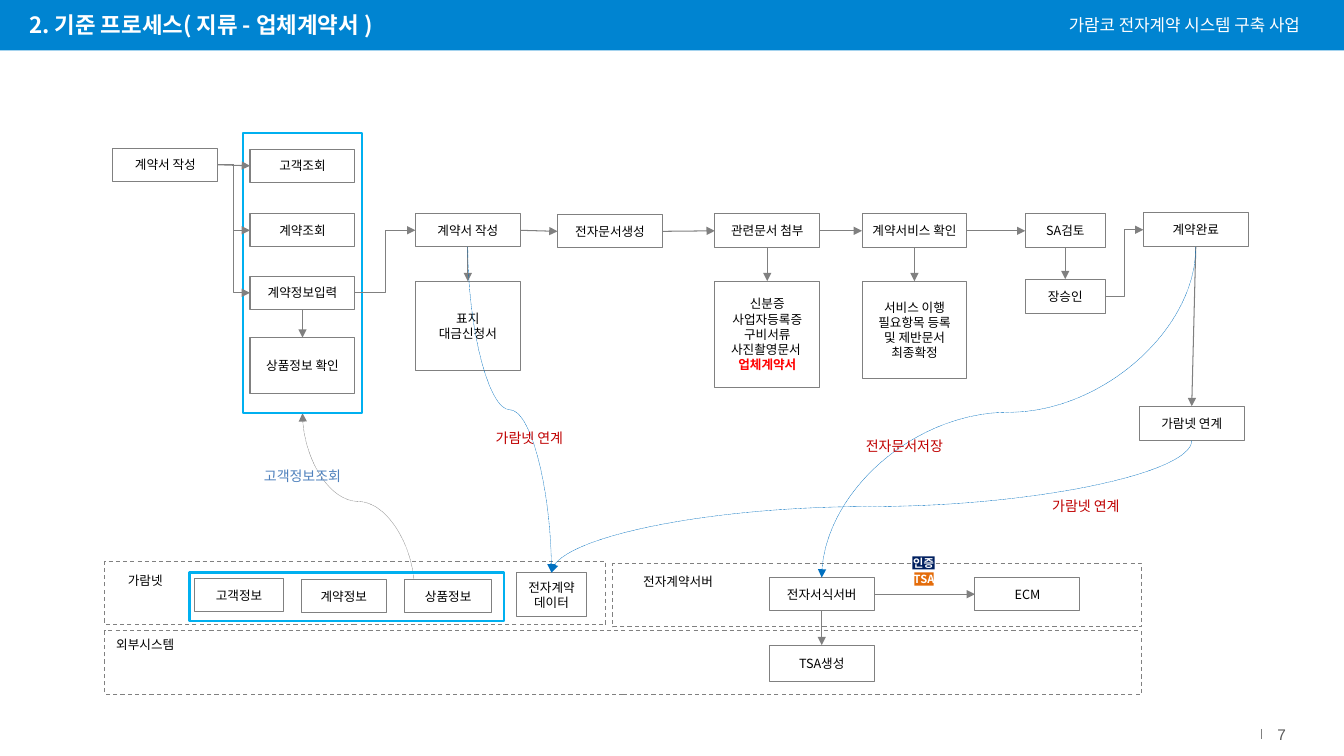
"""Build the contract process slide: a flow of steps above three system areas."""
from lxml.etree import SubElement
from pptx import Presentation
from pptx.dml.color import RGBColor
from pptx.enum.dml import MSO_LINE
from pptx.enum.shapes import MSO_CONNECTOR as CXN, MSO_SHAPE
from pptx.enum.text import MSO_ANCHOR as ANCHOR, MSO_AUTO_SIZE as FIT, PP_ALIGN as ALIGN
from pptx.oxml.ns import qn
from pptx.util import Inches, Pt

COLORS = {"bar": "0084D1", "white": "FFFFFF", "black": "000000", "gray": "808080",
          "page": "595959", "cyan": "00B0F0", "blue": "0070C0", "soft": "4F81BD",
          "crimson": "C00000", "red": "FF0000", "navy": "002060", "orange": "E46C0A"}
FONT = "Noto Sans CJK KR"
TOP, LEFT, BOTTOM, RIGHT = range(4)


class Canvas:
    """Current slide with its style, on a grid of tenth-inch columns and rows."""

    def __init__(self, s):
        self.s = s

    def unit(self, *cells):
        return [Inches(cell / 10) for cell in cells]

    def color(self, name):
        return RGBColor.from_string(COLORS[name])

    def put_text(self, sp, text, size, color, bold=False, align=ALIGN.CENTER,
                 anchor=ANCHOR.MIDDLE, inset=0, wrap=True, font=FONT):
        tf = sp.text_frame
        tf.text = text
        tf.word_wrap, tf.auto_size, tf.vertical_anchor = wrap, FIT.NONE, anchor
        tf.margin_left = tf.margin_right = Inches(inset / 10)
        tf.margin_top = tf.margin_bottom = Inches(0.05)
        for p in tf.paragraphs:
            p.alignment = align
            for r in p.runs:
                r.font.name, r.font.size, r.font.bold = font, Pt(size), bold
                r.font.color.rgb = self.color(color)
                SubElement(r.font._element, qn("a:ea"), typeface=FONT)

    def title(self, text, *at):
        sp = self.s.shapes.title
        sp.left, sp.top, sp.width, sp.height = self.unit(*at)
        self.put_text(sp, text, 16, "white", True, ALIGN.LEFT, ANCHOR.TOP, 1)

    def label(self, text, *at, size=9, color="black", **style):
        sp = self.s.shapes.add_textbox(*self.unit(*at))
        self.put_text(sp, text, size, color, anchor=ANCHOR.TOP, **style)

    def rect(self, *at, fill=None, line=None, width=0.75, dash=None):
        sp = self.s.shapes.add_shape(MSO_SHAPE.RECTANGLE, *self.unit(*at))
        sp.shadow.inherit = False
        if fill:
            sp.fill.solid()
            sp.fill.fore_color.rgb = self.color(fill)
        else:
            sp.fill.background()
        if line:
            self.stroke(sp.line, line, width, dash)
        else:
            sp.line.fill.background()
        return sp

    def box(self, text, *at, inset=0):
        sp = self.rect(*at, fill="white", line="gray")
        self.put_text(sp, text, 9, "black", inset=inset)
        return sp

    def tag(self, text, fill, *at):
        sp = self.rect(*at, fill=fill)
        self.put_text(sp, text, 8, "white", True, wrap=False)
        sp.text_frame.margin_top = sp.text_frame.margin_bottom = 0

    def stroke(self, line, color, width, dash=None):
        line.color.rgb = self.color(color)
        line.width = Pt(width)
        if dash:
            line.dash_style = dash

    def line(self, kind, *at, color="gray", width=0.75, dash=None, arrow=True):
        c = self.s.shapes.add_connector(kind, *self.unit(*at))
        self.stroke(c.line, color, width, dash)
        if arrow:
            SubElement(c.line._get_or_add_ln(), qn("a:tailEnd"), type="triangle")
        SubElement(c._element.spPr, qn("a:effectLst"))
        return c

    def link(self, start, out, end, into, kind=CXN.STRAIGHT):
        c = self.line(kind, 0, 0, 1, 1)
        c.begin_connect(start, out)
        c.end_connect(end, into)

    def curve(self, x1, y1, x2, y2, color="blue"):
        w, h = abs(y2 - y1), abs(x2 - x1)
        left, top = (x1 + x2 - w) / 2, (y1 + y2 - h) / 2
        c = self.line(CXN.CURVE, left, top, left + w, top + h,
                      color=color, width=0.25, dash=MSO_LINE.ROUND_DOT)
        xfrm = c._element.spPr.xfrm
        down, right = y2 > y1, x2 > x1
        xfrm.set("rot", str((90 if down and not right else 270) * 60000))
        if right:
            xfrm.set("flipH", "1")
        elif not down:
            xfrm.set("flipV", "1")


def main():
    prs = Presentation()
    prs.slide_width, prs.slide_height = Inches(13.33), Inches(7.5)
    cv = Canvas(prs.slides.add_slide(prs.slide_layouts[5]))

    cv.rect(0, 0, 133.3, 5, fill="bar")
    title = cv.s.shapes.title._element
    title.getparent().append(title)
    cv.title("2. 기준 프로세스( 지류 - 업체계약서 )", 1.9, 0.6, 43.4, 3.7)
    cv.label("가람코 전자계약 시스템 구축 사업", 106, 1, 25.9, 3, size=12,
             color="white", align=ALIGN.LEFT, wrap=False, font="Arial")
    cv.line(CXN.STRAIGHT, 125.1, 72.3, 125.1, 73.3, width=1, arrow=False)
    cv.label("7", 125.7, 71.4, 5.2, 2.9, size=11, color="page",
             align=ALIGN.LEFT, inset=1, font="Arial")

    for area in [(10.4, 55.7, 49.7, 6.3), (10.4, 62.6, 102.8, 6.3), (60.8, 55.9, 52.4, 6.3)]:
        cv.rect(*area, line="gray", dash=MSO_LINE.DASH)
    cv.curve(41.1, 58.5, 30, 41, "gray")

    steps = {
        "start": ("계약서 작성", 11.2, 14.7, 10.4, 3.3),
        "customer": ("고객조회", 24.8, 14.8, 10.4, 3.3),
        "contract": ("계약조회", 24.8, 21.2, 10.4, 3.3),
        "entry": ("계약정보입력", 24.8, 27.4, 10.4, 3.3),
        "product": ("상품정보 확인", 24.8, 33.5, 10.4, 5.5),
        "draft": ("계약서 작성", 41.2, 21.2, 10.4, 3.3),
        "cover": ("표지\n대금신청서", 41.2, 27.9, 10.4, 8.9),
        "document": ("전자문서생성", 55.3, 21.3, 10.4, 3.3),
        "attach": ("관련문서 첨부", 70.9, 21.2, 10.4, 3.4),
        "papers": ("신분증\n사업자등록증\n구비서류\n사진촬영문서 \n업체계약서", 70.9, 27.9, 10.4, 10.5),
        "service": ("계약서비스 확인", 85.5, 21.2, 10.4, 3.4),
        "review": ("SA검토", 101.7, 21.2, 7.9, 3.4),
        "approval": ("장승인", 101.7, 27.7, 7.9, 3.4),
        "done": ("계약완료", 113.4, 21.1, 10.4, 3.4),
        "sync": ("가람넷 연계", 113, 40.3, 10.4, 3.4),
        "info1": ("고객정보", 19.3, 57.4, 8.8, 3.3),
        "info2": ("계약정보", 29.9, 57.5, 8.4, 3.3),
        "info3": ("상품정보", 40.1, 57.5, 8.7, 3.3),
        "data": ("전자계약\n데이터", 51.2, 56.8, 7, 4.4),
        "form": ("전자서식서버", 76.3, 57.3, 10.4, 3.3),
        "ecm": ("ECM", 96.7, 57.3, 10.4, 3.3),
        "stamp": ("TSA생성", 76.3, 64, 10.4, 3.6),
    }
    box = {key: cv.box(*step) for key, step in steps.items()}
    box["check"] = cv.box("서비스 이행\n필요항목 등록 및 제반문서 최종확정", 85.5, 27.9, 10.4, 9.7, inset=1)
    r = box["papers"].text_frame.paragraphs[-1].runs[0]
    r.font.bold, r.font.color.rgb = True, cv.color("red")

    for frame in [(24.1, 13.2, 11.8, 27.8), (18.8, 56.8, 31.2, 4.8)]:
        cv.rect(*frame, line="cyan", width=1.5)

    for a, b in [("start", "customer"), ("draft", "document"), ("document", "attach"),
                 ("attach", "service"), ("service", "review"), ("form", "ecm")]:
        cv.link(box[a], RIGHT, box[b], LEFT)
    for a, b in [("entry", "product"), ("draft", "cover"), ("attach", "papers"),
                 ("service", "check"), ("review", "approval"), ("done", "sync"),
                 ("form", "stamp")]:
        cv.link(box[a], BOTTOM, box[b], TOP)
    for a, b in [("start", "contract"), ("start", "entry"), ("entry", "draft"),
                 ("approval", "done")]:
        cv.link(box[a], RIGHT, box[b], LEFT, CXN.ELBOW)
    for ends in [(118.6, 24.5, 81.5, 57.3), (118.2, 43.7, 54.7, 56.8), (46.4, 24.5, 54.7, 56.8)]:
        cv.curve(*ends)

    for text, x, y, color in [("고객정보조회", 24.8, 45.9, "soft"),
                              ("가람넷 연계", 47.3, 42.1, "crimson"),
                              ("전자문서저장", 84.5, 42.9, "crimson"),
                              ("가람넷 연계", 102.5, 48.9, "crimson")]:
        cv.label(text, x, y, 10.4, 2.7, size=10, color=color)
    for text, x, y, w in [("가람넷", 10.2, 56.3, 8.4), ("외부시스템", 10.2, 62.7, 8.4),
                          ("전자계약서버", 61.6, 56.4, 11.3)]:
        cv.label(text, x, y, w, 2.5)
    cv.tag("인증", "navy", 90.5, 55.2, 2.2, 1.3)
    cv.tag("TSA", "orange", 90.7, 56.8, 1.9, 1.3)

    prs.save("out.pptx")


if __name__ == "__main__":
    main()
